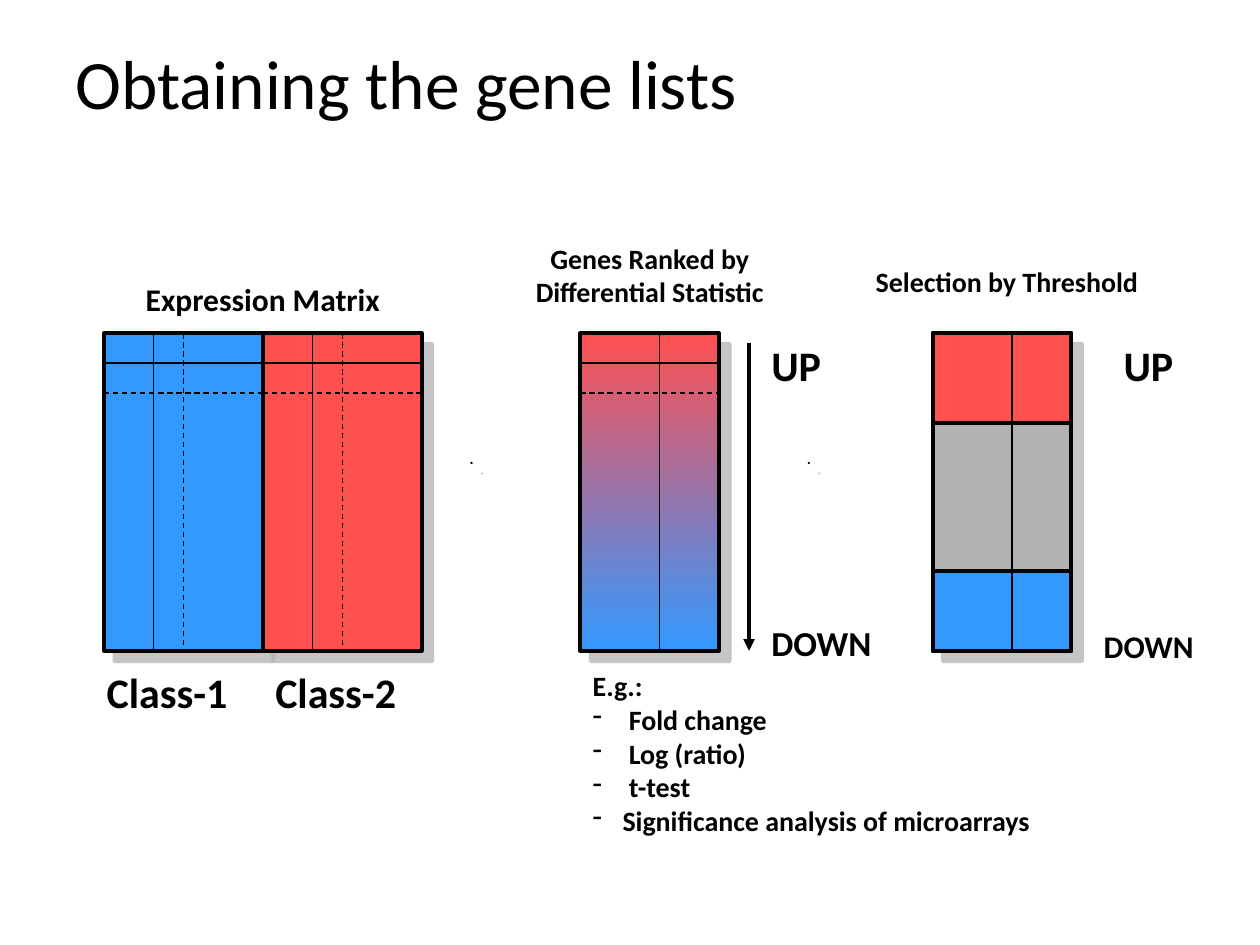
from lxml import etree
from pptx import Presentation, util as u
from pptx.dml.color import RGBColor
from pptx.enum import dml, shapes, text
from pptx.oxml import ns

Cm, Pt = u.Cm, u.Pt
BLACK, RED, BLUE, GRAY = "000000", "FF5050", "3399FF", "B2B2B2"
TOP, TALL = 6.72, 6.4   # shared by the three panels
ROW = 0.6               # height of one gene row
BOLD, THIN = 2.24, 0.74

deck = Presentation()
deck.slide_width, deck.slide_height = Cm(25.4), Cm(19.05)
slide = deck.slides.add_slide(deck.slide_layouts[6])
parts = slide.shapes


def paint(target, code):
    """Give a fill, line or font colour a hex value."""
    target.rgb = RGBColor.from_string(code)


def sub(node, tag, **attrs):
    return etree.SubElement(node, ns.qn("a:" + tag), attrs)


def shade(shape):
    """Cast a grey shadow down to the right."""
    effects = shape.element.spPr.find(ns.qn("a:effectLst"))
    cast = sub(effects, "outerShdw", blurRad="0", dist=str(Pt(8.5)),
               dir="2700000", algn="ctr", rotWithShape="0")
    sub(sub(cast, "srgbClr", val=GRAY), "alpha", val="75000")


def style(shape, fill, width, shadow):
    shape.shadow.inherit = False
    if isinstance(fill, tuple):
        shape.fill.gradient()
        shape.fill.gradient_angle = 270
        for stop, code, place in zip(shape.fill.gradient_stops, fill, (0, 1)):
            paint(stop.color, code)
            stop.position = place
    else:
        shape.fill.solid()
        paint(shape.fill.fore_color, fill)
    paint(shape.line.color, BLACK)
    shape.line.width = Pt(width)
    if shadow:
        shade(shape)


def block(x, y, w, h, fill, shadow=True):
    rect = parts.add_shape(shapes.MSO_SHAPE.RECTANGLE, Cm(x), Cm(y), Cm(w), Cm(h))
    style(rect, fill, BOLD, shadow)


def rule(x1, y1, x2, y2, width=THIN, dash=False, arrow=False):
    line = parts.add_connector(shapes.MSO_CONNECTOR.STRAIGHT,
                               Cm(x1), Cm(y1), Cm(x2), Cm(y2))
    paint(line.line.color, BLACK)
    line.line.width = Pt(width)
    if dash:
        line.line.dash_style = dml.MSO_LINE.DASH
    if arrow:
        sub(line.line._get_or_add_ln(), "tailEnd", type="triangle")
    sub(line.element.spPr, "effectLst")


def label(x, y, w, h, lines, size, align="LEFT", bold=True, anchor="TOP"):
    box = parts.add_textbox(Cm(x), Cm(y), Cm(w), Cm(h))
    frame = box.text_frame
    frame.text = "\n".join(lines)
    frame.word_wrap = True
    frame.vertical_anchor = text.MSO_ANCHOR[anchor]
    looks = {"name": "Calibri", "size": Pt(size), "bold": bold}
    for para in frame.paragraphs:
        para.alignment = text.PP_ALIGN[align]
        for run in para.runs:
            for key, value in looks.items():
                setattr(run.font, key, value)
            paint(run.font.color, BLACK)
    return box


def dot(x, y):
    """Tiny marker between two panels."""
    pen = parts.build_freeform(Cm(x), Cm(y))
    pen.add_line_segments([(Cm(x + 0.01), Cm(y)), (Cm(x + 0.01), Cm(y + 0.01))])
    style(pen.convert_to_shape(), "FFFF29", 0.99, True)


def matrix(x, y, w, h):
    """Expression matrix: two classes side by side."""
    half = w / 2
    lefts = (x, x + half)
    for left, fill in zip(lefts, (BLUE, RED)):
        block(left, y, half, h, fill)
    rule(x, y + ROW, x + w, y + ROW)
    for n, left in enumerate(lefts, 1):
        rule(left + 1, y, left + 1, y + h)
        rule(left + 1.6, y, left + 1.6, y + h, dash=True)
        rule(left, y + 2 * ROW, left + half, y + 2 * ROW, dash=True)
        label((x - 0.2, x + half)[n - 1], y + h + 0.19, half, 1.27, [f"Class-{n}"], 24)
    label(x, y - 1.2, w, 1.02, ["Expression Matrix"], 18, "CENTER")


def ranked(x, y, w, h):
    """Ranked genes with the direction arrow and example statistics."""
    label(x - 1.8, y - 1.98, 6.4, 1.63,
          ["Genes Ranked by", "Differential Statistic"], 16, "CENTER")
    block(x, y, w, h, (RED, BLUE))
    rule(x + 1.6, y, x + 1.6, y + h)
    rule(x, y + ROW, x + w, y + ROW)
    rule(x, y + 2 * ROW, x + w, y + 2 * ROW, dash=True)
    rule(x + 3.4, y + 0.2, x + 3.4, y + h, BOLD, arrow=True)
    label(x + 3.6, y, 1.6, 1.27, ["UP"], 24)
    label(x + 3.6, y + 5.68, 2.8, 1.12, ["DOWN"], 20)
    notes = label(x, y + h + 0.24, 10.3, 3.68,
                  ["E.g.: ", " Fold change", " Log (ratio)", " t-test",
                   "Significance analysis of microarrays"], 16)
    for n, para in enumerate(notes.text_frame.paragraphs):
        props = para._p.get_or_add_pPr()
        props.set("marL", str(Cm(0.6)))
        props.set("indent", str(-Cm(0.6)))
        if n:
            sub(sub(props, "buClr"), "srgbClr", val=BLACK)
            sub(props, "buChar", char="-")


def cutoff(x, y, w, h):
    """Genes kept above and below the threshold."""
    block(x, y, w, h, GRAY)
    block(x, y, w, 1.8, RED, shadow=False)
    block(x, y + h - 1.6, w, 1.6, BLUE, shadow=False)
    rule(x + 1.6, y, x + 1.6, y + h)
    label(x + 3.6, y, 1.6, 1.27, ["UP"], 24)
    label(x + 3.2, y + 5.8, 2.54, 1.02, ["DOWN"], 18)
    label(x - 1.7, y - 1.52, 6.4, 0.94, ["Selection by Threshold"], 16, "CENTER")


# Title
label(1.27, 0.76, 22.86, 1.78, ["Obtaining the gene lists"], 39.6,
      bold=False, anchor="MIDDLE")

# Panels
matrix(2.1, TOP, 6.4, TALL)
ranked(11.7, TOP, 2.8, TALL)
cutoff(18.8, TOP, 2.8, TALL)

# Markers
for left in (9.5, 16.3):
    dot(left, 9.33)

deck.save("out.pptx")
